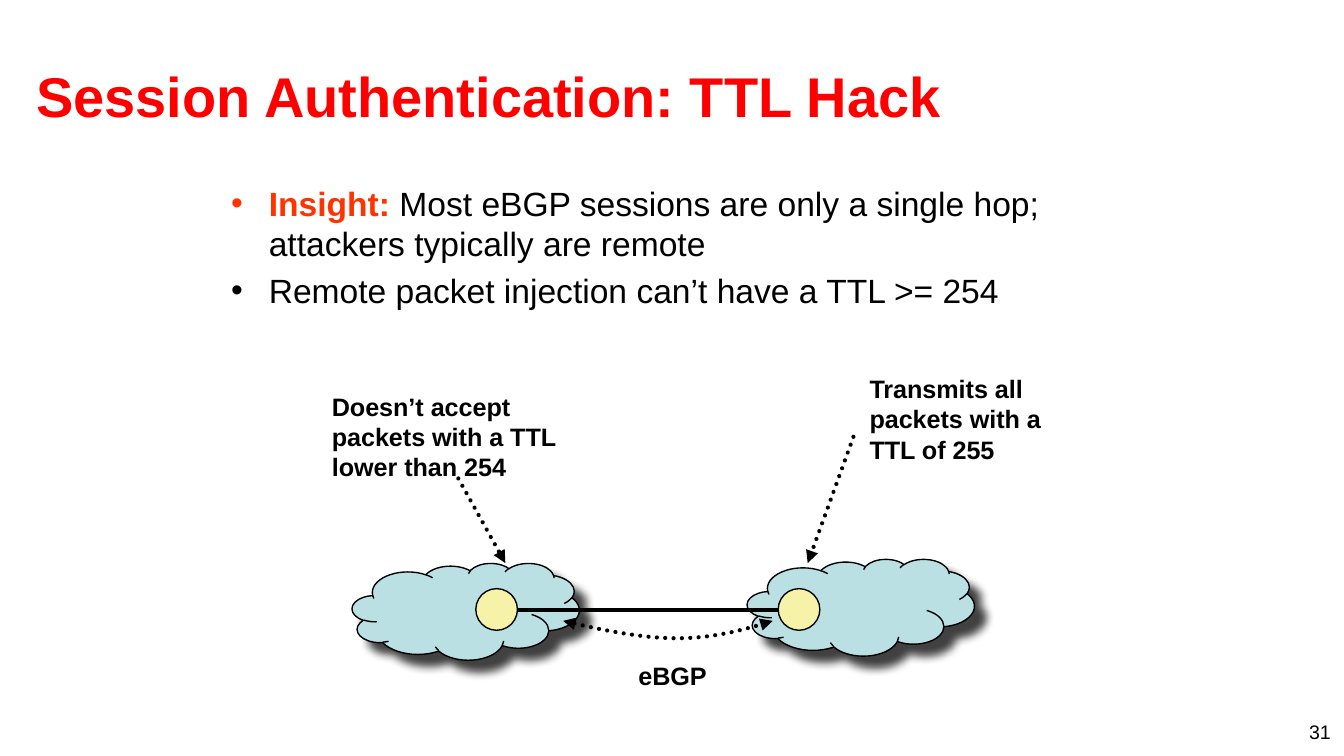
"""Build the slide on the TTL hack for BGP session authentication."""
import pptx
import pptx.util
import pptx.dml.color
import pptx.enum.dml
import pptx.enum.shapes
import pptx.enum.text
import pptx.oxml
import pptx.oxml.ns

Inches, Pt = pptx.util.Inches, pptx.util.Pt
SHAPE = pptx.enum.shapes.MSO_SHAPE
ALIGN = pptx.enum.text.PP_ALIGN
ANCHOR = pptx.enum.text.MSO_ANCHOR
DOTTED = pptx.enum.dml.MSO_LINE.ROUND_DOT

SIZE = (10, 10 * 9 / 16)
FONT = "Arial"
BLACK, RED, ORANGE, CLOUD, ROUTER = "000000", "FF0000", "FF3300", "BBE0E3", "F6F2A8"

TITLE = "Session Authentication: TTL Hack"
BULLETS = [
    [("Insight:", ORANGE, True),
     (" Most eBGP sessions are only a single hop; attackers typically are remote", BLACK, False)],
    [("Remote packet injection can’t have a TTL >= 254", BLACK, False)],
]
LABELS = [
    ("eBGP", (4.69, 4.88, 0.64, 0.29)),
    ("Transmits all\npackets with a\nTTL of 255", (6.41, 2.75, 1.41, 0.74)),
    ("Doesn’t accept\npackets with a TTL\nlower than 254", (2.41, 2.88, 1.86, 0.74)),
]
PAGE = ("31", (7.67, 5.31, 2.33, 0.19))
CLOUDS = [(5.56, 4.16), (2.62, 4.19)]
CLOUD_SIZE = (1.69, 0.72)
ROUTERS = [(3.54, 4.38), (5.79, 4.38)]
ROUTER_SIZE = (0.31, 0.31)
LINK = ((3.81, 4.54), (5.81, 4.54))
POINTERS = [((6.35, 3.25), (6.01, 4.19)), ((3.41, 3.56), (3.76, 4.19))]
SESSION = [
    [(4.19, 4.62), (4.48, 4.69), (4.78, 4.75), (5.04, 4.75)],
    [(5.04, 4.75), (5.3, 4.75), (5.53, 4.69), (5.75, 4.62)],
]
STEPS = 12


def rgb(color):
    return pptx.dml.color.RGBColor.from_string(color)


def inches(*values):
    return [Inches(v) for v in values]


def place(s, box):
    s.left, s.top, s.width, s.height = inches(*box)


def style(r, size, color=BLACK, bold=False):
    r.font.name, r.font.size, r.font.bold = FONT, Pt(size), bold
    r.font.color.rgb = rgb(color)


def effects(s, content=""):
    ns = pptx.oxml.ns.nsdecls("a")
    old = s._element.spPr.find(pptx.oxml.ns.qn("a:effectLst"))
    if old is not None:
        s._element.spPr.remove(old)
    s._element.spPr.append(pptx.oxml.parse_xml(f"<a:effectLst {ns}>{content}</a:effectLst>"))


def stroke(s, width, dotted=False, ends=()):
    s.line.color.rgb, s.line.width = rgb(BLACK), Pt(width)
    ln = s.line._get_or_add_ln()
    if dotted:
        s.line.dash_style = DOTTED
        ln.set("cap", "rnd")
    ns = pptx.oxml.ns.nsdecls("a")
    for end in ends:
        ln.append(pptx.oxml.parse_xml(f'<a:{end} {ns} type="triangle"/>'))


def add_preset(shapes, kind, at, size, color):
    s = shapes.add_shape(kind, *inches(*at, *size))
    s.shadow.inherit = False
    s.fill.solid()
    s.fill.fore_color.rgb = rgb(color)
    stroke(s, 0.75)
    return s


def add_line(shapes, start, end, **options):
    s = shapes.add_connector(pptx.enum.shapes.MSO_CONNECTOR.STRAIGHT, *inches(*start, *end))
    stroke(s, 2.25, **options)
    effects(s)


def bezier(points, t):
    weights = ((1 - t) ** 3, 3 * t * (1 - t) ** 2, 3 * t * t * (1 - t), t ** 3)
    return inches(*(sum(w * v for w, v in zip(weights, axis)) for axis in zip(*points)))


def add_session(shapes):
    points = [bezier(c, i / STEPS) for c in SESSION for i in range(1, STEPS + 1)]
    builder = shapes.build_freeform(*inches(*SESSION[0][0]))
    builder.add_line_segments(points, close=False)
    s = builder.convert_to_shape()
    s.shadow.inherit = False
    s.fill.background()
    stroke(s, 2.25, dotted=True, ends=("headEnd", "tailEnd"))


def add_text(shapes, text, box, size, bold=False):
    tf = shapes.add_textbox(*inches(*box)).text_frame
    tf.text = text
    for p in tf.paragraphs:
        style(p.runs[0], size, bold=bold)
    return tf


def fill_placeholders(slide):
    s = slide.shapes.title
    place(s, (0.17, 0.24, 9.58, 0.94))
    tf = s.text_frame
    tf.text = TITLE
    tf.vertical_anchor = ANCHOR.MIDDLE
    tf.paragraphs[0].alignment = ALIGN.LEFT
    style(tf.paragraphs[0].runs[0], 30, RED, True)

    s = slide.placeholders[1]
    place(s, (1.62, 1.31, 6.75, 1.25))
    tf = s.text_frame
    tf.auto_size = pptx.enum.text.MSO_AUTO_SIZE.NONE
    for i, runs in enumerate(BULLETS):
        p = tf.add_paragraph() if i else tf.paragraphs[0]
        pPr = p._p.get_or_add_pPr()
        pPr.set("marL", str(Inches(0.28)))
        pPr.set("indent", str(Inches(-0.28)))
        for text, color, bold in runs:
            r = p.add_run()
            r.text = text
            style(r, 18, color, bold)


def main():
    prs = pptx.Presentation()
    prs.slide_width, prs.slide_height = inches(*SIZE)
    slide = prs.slides.add_slide(prs.slide_layouts[1])
    shapes = slide.shapes
    fill_placeholders(slide)

    tf = add_text(shapes, *PAGE, 10.5)
    tf.word_wrap = True
    tf.paragraphs[0].alignment = ALIGN.RIGHT

    for at in CLOUDS:
        s = add_preset(shapes, SHAPE.CLOUD, at, CLOUD_SIZE, CLOUD)
        effects(s, f'<a:outerShdw blurRad="{Pt(5)}" dist="{Pt(8.5)}" dir="2700000">'
                   f'<a:srgbClr val="{BLACK}"><a:alpha val="75000"/></a:srgbClr></a:outerShdw>')
    add_line(shapes, *LINK)
    add_session(shapes)
    for text, box in LABELS:
        tf = add_text(shapes, text, box, 13.5, bold=True)
        tf.word_wrap = False
        tf.auto_size = pptx.enum.text.MSO_AUTO_SIZE.SHAPE_TO_FIT_TEXT
        tf.margin_left = tf.margin_right = Inches(0.06)
        tf.margin_top = tf.margin_bottom = Inches(0.03)
    for start, end in POINTERS:
        add_line(shapes, start, end, dotted=True, ends=("tailEnd",))
    for at in ROUTERS:
        add_preset(shapes, SHAPE.OVAL, at, ROUTER_SIZE, ROUTER)
    prs.save("out.pptx")


if __name__ == "__main__":
    main()
